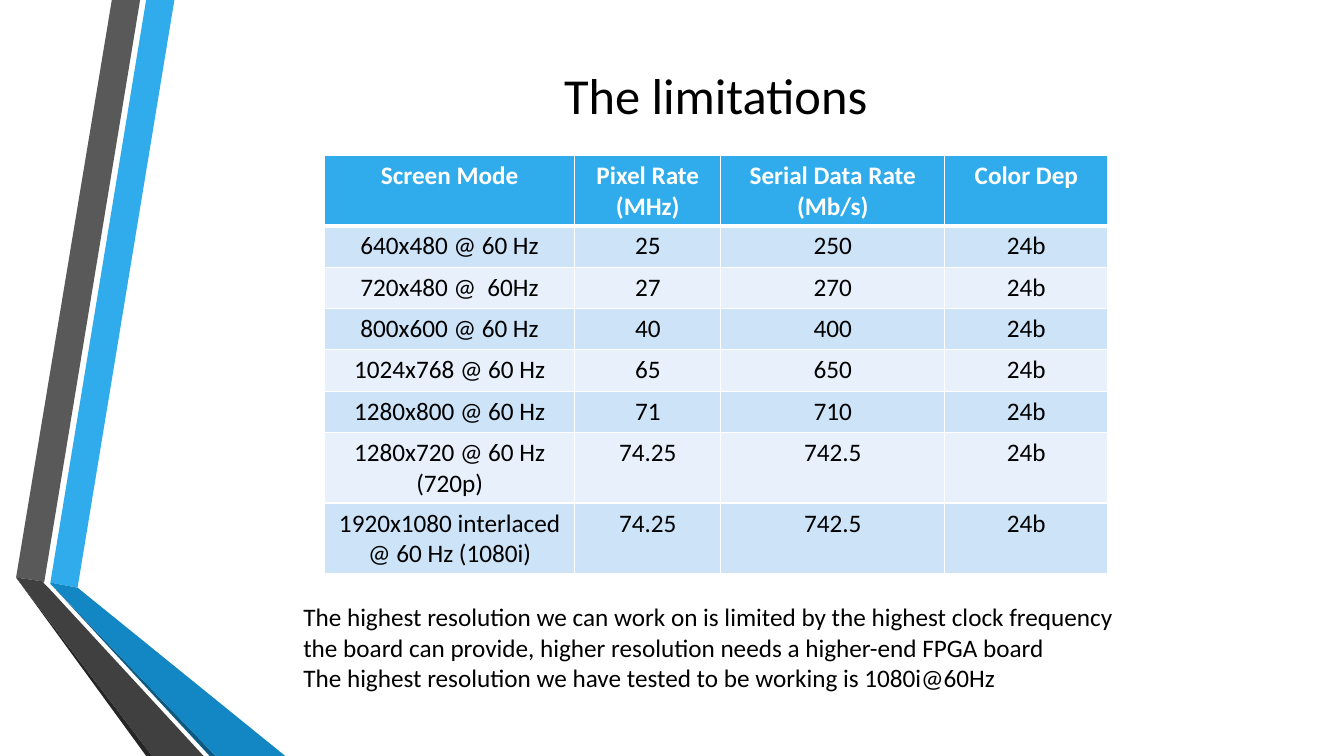
import pptx
import pptx.dml.color
import pptx.enum.text
import pptx.oxml
import pptx.oxml.ns
import pptx.util

Inches = pptx.util.Inches
CENTER = pptx.enum.text.PP_ALIGN.CENTER
LEFT = pptx.enum.text.PP_ALIGN.LEFT
MIDDLE = pptx.enum.text.MSO_ANCHOR.MIDDLE
TOP = pptx.enum.text.MSO_ANCHOR.TOP

BLACK, WHITE = "000000", "FFFFFF"
SKY = "30ACEC"
BANDS = ["CDE3F8", "E8F1FB"]

RIBBONS = [
    (SKY, [(0.5, 5.78), (0.77, 5.83), (1.73, 0), (1.45, 0)]),
    ("595959", [(1.39, 0), (1.11, 0), (0.16, 5.73), (0.44, 5.77)]),
    ("262626", [(0.16, 5.73), (1.45, 7.5), (1.51, 7.5)]),
    ("0C5A82", [(0.5, 5.79), (2.08, 7.5), (2.14, 7.5)]),
    ("1287C3", [(0.5, 5.79), (2.14, 7.5), (2.83, 7.5), (0.77, 5.83), (0.5, 5.78)]),
    ("404040", [(2.02, 7.5), (0.48, 5.83), (0.43, 5.78), (0.44, 5.77),
                (0.16, 5.73), (1.51, 7.5)]),
]

COLUMN_WIDTHS = [2.48, 1.45, 2.22, 1.62]
ONE_LINE, TWO_LINES = 0.41, 0.7
ROW_HEIGHTS = [TWO_LINES] + [ONE_LINE] * 5 + [TWO_LINES] * 2
SCREEN_MODES = [
    ("Screen Mode", "Pixel Rate (MHz)", "Serial Data Rate (Mb/s)", "Color Dep"),
    ("640x480 @ 60 Hz", "25", "250", "24b"),
    ("720x480 @  60Hz", "27", "270", "24b"),
    ("800x600 @ 60 Hz", "40", "400", "24b"),
    ("1024x768 @ 60 Hz", "65", "650", "24b"),
    ("1280x800 @ 60 Hz", "71", "710", "24b"),
    ("1280x720 @ 60 Hz (720p)", "74.25", "742.5", "24b"),
    ("1920x1080 interlaced @ 60 Hz (1080i)", "74.25", "742.5", "24b"),
]

CONCLUSIONS = [
    "The highest resolution we can work on is limited by the highest clock frequency "
    "the board can provide, higher resolution needs a higher-end FPGA board",
    "The highest resolution we have tested to be working is 1080i@60Hz",
]


def rgb(color):
    return pptx.dml.color.RGBColor.from_string(color)


class SlideBuilder:
    font_name = "Calibri"
    body_size = 18

    def __init__(self, slide):
        self.slide = slide

    def freeform(self, color, points):
        corners = [(Inches(x), Inches(y)) for x, y in points]
        builder = self.slide.shapes.build_freeform(*corners[0])
        builder.add_line_segments(corners[1:], close=True)
        shape = builder.convert_to_shape()
        shape.shadow.inherit = False
        shape.fill.solid()
        shape.fill.fore_color.rgb = rgb(color)
        shape.line.fill.background()

    def add_run(self, paragraph, text, size, color=BLACK, bold=False, align=LEFT):
        paragraph.alignment = align
        run = paragraph.add_run()
        run.text = text
        run.font.name = self.font_name
        run.font.size = pptx.util.Pt(size)
        run.font.bold = bold
        run.font.color.rgb = rgb(color)

    def text(self, box, lines, size=body_size, align=LEFT, anchor=TOP):
        shape = self.slide.shapes.add_textbox(*map(Inches, box))
        frame = shape.text_frame
        frame.word_wrap = True
        frame.vertical_anchor = anchor
        for index, line in enumerate(lines):
            paragraph = frame.add_paragraph() if index else frame.paragraphs[0]
            self.add_run(paragraph, line, size, align=align)

    def border(self, cell, side, width):
        properties = cell._tc.get_or_add_tcPr()
        properties.append(pptx.oxml.parse_xml(
            f'<a:ln{side} {pptx.oxml.ns.nsdecls("a")} w="{pptx.util.Pt(width)}">'
            f'<a:solidFill><a:srgbClr val="{WHITE}"/></a:solidFill></a:ln{side}>'))

    def cell(self, cell, text, row):
        header = row == 0
        widths = {"L": 1, "R": 1, "T": 3 if row == 1 else 1, "B": 3 if header else 1}
        for side, width in widths.items():
            self.border(cell, side, width)
        cell.fill.solid()
        cell.fill.fore_color.rgb = rgb(SKY if header else BANDS[(row - 1) % 2])
        self.add_run(cell.text_frame.paragraphs[0], text, self.body_size,
                     WHITE if header else BLACK, header, CENTER)

    def table(self, left, top, widths, heights, rows):
        box = map(Inches, (left, top, sum(widths), sum(heights)))
        table = self.slide.shapes.add_table(len(rows), len(widths), *box).table
        for column, width in zip(table.columns, widths):
            column.width = Inches(width)
        for row, height in zip(table.rows, heights):
            row.height = Inches(height)
        for row, texts in enumerate(rows):
            for column, text in enumerate(texts):
                self.cell(table.cell(row, column), text, row)


def main():
    presentation = pptx.Presentation()
    presentation.slide_width = Inches(13.33)
    presentation.slide_height = Inches(7.5)
    slide = presentation.slides.add_slide(presentation.slide_layouts[6])
    builder = SlideBuilder(slide)
    for color, points in RIBBONS:
        builder.freeform(color, points)
    builder.text((1.62, 0.58, 10.96, 0.71), ["The limitations"], 36, CENTER, MIDDLE)
    builder.table(3.22, 1.54, COLUMN_WIDTHS, ROW_HEIGHTS, SCREEN_MODES)
    builder.text((2.91, 5.92, 8.38, 1.01), CONCLUSIONS)
    presentation.save("out.pptx")


if __name__ == "__main__":
    main()
